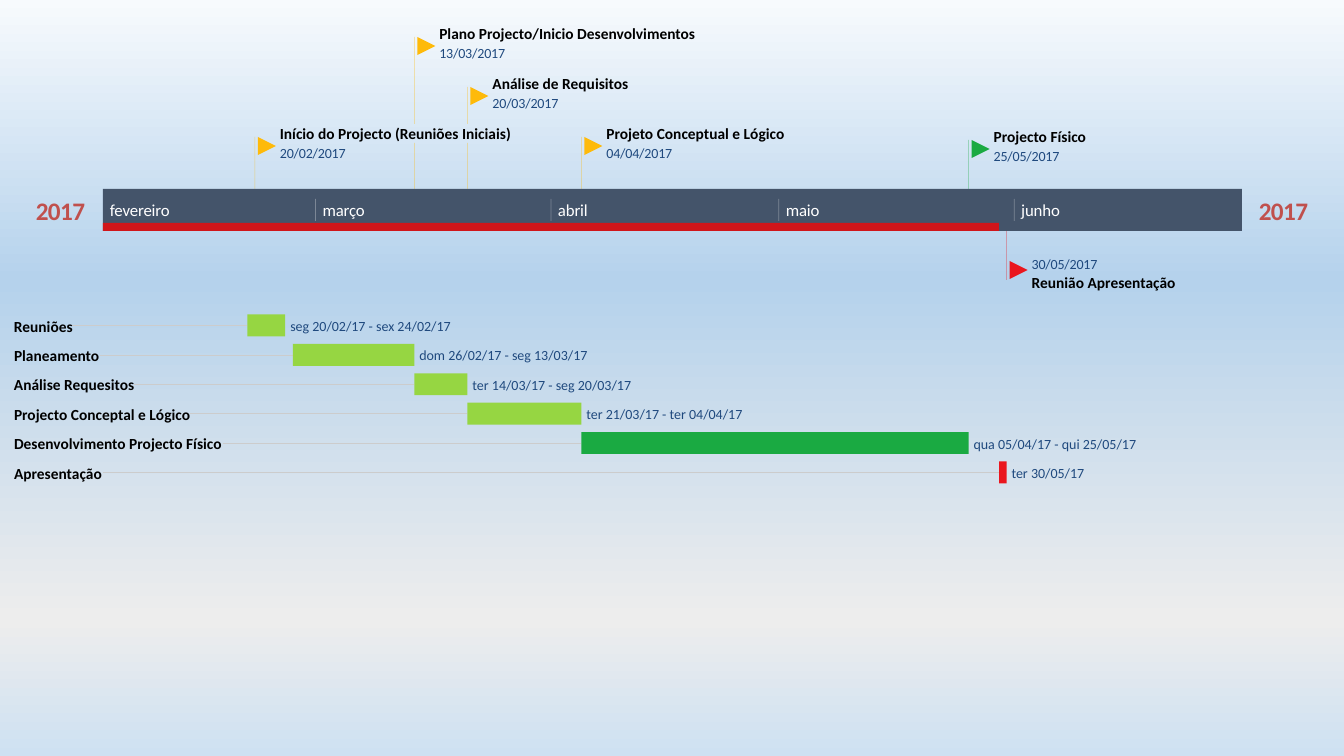
from pptx import Presentation
from pptx.util import Pt
from pptx.dml.color import RGBColor as RGB
from pptx.enum.shapes import MSO_SHAPE as Geo, MSO_CONNECTOR as Link
from pptx.enum.text import PP_ALIGN as Align, MSO_ANCHOR as Anchor
from pptx.oxml.ns import qn
from lxml.etree import SubElement as Sub

HEX = dict(band="44546A", done="FF0000", gold="FEBA0A", green="1AAA42",
           lime="96D642", red="EA161E", rule="CCCCCC", white="FFFFFF",
           black="000000", date="1F497E", year="C0504D")
SKY = [(0, "F7FAFD"), (37, "B5D2EC"), (82, "EDEDED"), (100, "CEE1F2")]

# Month: name, days before it since 1 February, label width
MONTHS = {2: ("fevereiro", 0, 61), 3: ("março", 28, 43), 4: ("abril", 59, 31),
          5: ("maio", 89, 33), 6: ("junho", 120, 39)}
# Milestone: name, date, flag top, colour, name width, stem broken by a label
STONES = [
    ("Início do Projecto (Reuniões Iniciais)", "20/02/2017", 137, "gold", 231, False),
    ("Plano Projecto/Inicio Desenvolvimentos", "13/03/2017", 37, "gold", 256, True),
    ("Análise de Requisitos", "20/03/2017", 87, "gold", 136, True),
    ("Projeto Conceptual e Lógico", "04/04/2017", 137, "gold", 177, False),
    ("Projecto Físico", "25/05/2017", 140, "green", 93, False),
    ("Reunião Apresentação", "30/05/2017", 261, "red", 144, False),
]
# Task: name, name width, dates, dates width, colour
TASKS = [
    ("Reuniões", 58, "seg 20/02/17 - sex 24/02/17", 162, "lime"),
    ("Planeamento", 86, "dom 26/02/17 - seg 13/03/17", 169, "lime"),
    ("Análise Requesitos", 120, "ter 14/03/17 - seg 20/03/17", 159, "lime"),
    ("Projecto Conceptal e Lógico", 176, "ter 21/03/17 - ter 04/04/17", 157, "lime"),
    ("Desenvolvimento Projecto Físico", 209, "qua 05/04/17 - qui 25/05/17", 163, "green"),
    ("Apresentação", 89, "ter 30/05/17", 75, "red"),
]

# Scale and time axis
PX = 914400 / 100.8
LEFT, WIDE, DAYS = 103, 1139, 150
TOP, HIGH = 189, 42
FOOT = TOP + HIGH
GAP = (124, 143)
ROW, STEP = 314.5, 29.4


def emu(*vals):
    return [round(v * PX) for v in vals]


def day(text):
    num, month = text.split("/")[:2]
    return MONTHS[int(month)][1] + int(num)


def spot(days):
    return LEFT + days * WIDE / DAYS


def fade(item, pct):
    for clr in item.element.spPr.iter(qn("a:srgbClr")):
        Sub(clr, qn("a:alpha"), val=str(pct * 1000))


def box(x, y, w, h, tint, geo=Geo.RECTANGLE, turn=0):
    item = slide.shapes.add_shape(geo, *emu(x, y, w, h))
    item.shadow.inherit = False
    item.fill.solid()
    item.fill.fore_color.rgb = RGB.from_string(HEX[tint])
    item.line.fill.background()
    item.rotation = turn
    return item


def line(x, y, x2, y2, tint, size=0.38, pct=100):
    item = slide.shapes.add_connector(Link.STRAIGHT, *emu(x, y, x2, y2))
    item.line.color.rgb = RGB.from_string(HEX[tint])
    item.line.width = Pt(size)
    Sub(item.element.spPr, qn("a:effectLst"))
    if pct < 100:
        fade(item, pct)


def write(text, x, y, w, h, size=10, tint="date", bold=False, space=0, align=Align.LEFT):
    frame = slide.shapes.add_textbox(*emu(x, y, w + 2, h)).text_frame
    frame.word_wrap = True
    frame.vertical_anchor = Anchor.MIDDLE
    frame.margin_left = frame.margin_right = frame.margin_top = frame.margin_bottom = 0
    para = frame.paragraphs[0]
    para.alignment = align
    run = para.add_run()
    run.text = text
    font = run.font
    font.name, font.size, font.bold = "Calibri", Pt(size), bold
    font.color.rgb = RGB.from_string(HEX[tint])
    if space:
        run.font._element.set("spc", str(space))


deck = Presentation()
deck.slide_width, deck.slide_height = emu(1344, 756)
slide = deck.slides.add_slide(deck.slide_layouts[6])

# Background gradient
fill = slide.background.fill
fill.gradient()
fill.gradient_angle = 270
stops = slide.element.xpath(".//a:gsLst")[0]
for old in list(stops):
    stops.remove(old)
for pos, tone in SKY:
    Sub(Sub(stops, qn("a:gs"), pos=str(pos * 1000)), qn("a:srgbClr"), val=tone)

# Milestones: stem, flag, name and date
for name, date, top, tint, wide, split in STONES:
    x = spot(day(date))
    below = top > FOOT
    if below:
        parts = [(FOOT, top + 19)]
    elif split:
        parts = [(top, GAP[0]), (GAP[1], TOP)]
    else:
        parts = [(top, TOP)]
    for y, y2 in parts:
        line(x, y, x, y2, tint, pct=50)
    box(x + 3, top, 18, 18, tint, Geo.FLOWCHART_MERGE, 270)
    write(name, x + 25, top + (12 if below else -13), wide, 19, 11, "black", True)
    write(date, x + 25, top + (-6 if below else 7), 69, 17, space=-10)

# Year band with elapsed time
for x in (35, 1258):
    write("2017", x, 195, 49, 31, 18, "year", True, -40, Align.CENTER)
box(LEFT, TOP, WIDE, HIGH, "band")
fade(box(LEFT, FOOT - 8, spot(day("29/05")) - LEFT, 8, "done"), 75)
for name, start, wide in MONTHS.values():
    x = spot(start)
    if start:
        line(x, 199, x, 221, "white", 0.5, 30)
    write(name, x + 7, 200, wide, 20, 12, "white", space=-10)

# Task rows: rule, bar, dates and name
for i, (name, wide, dates, span, tint) in enumerate(TASKS):
    y = ROW + i * STEP
    ends = [day(part.split()[1]) for part in dates.split(" - ")]
    x, x2 = spot(ends[0] - 1), spot(ends[-1])
    line(14 + wide, y + 11, x, y + 11, "rule")
    box(x, y, x2 - x, 22, tint)
    write(dates, x2 + 5, y + 3, span, 17)
    write(name, 14, y + 2, wide, 19, 11, "black", True)

deck.save("out.pptx")
